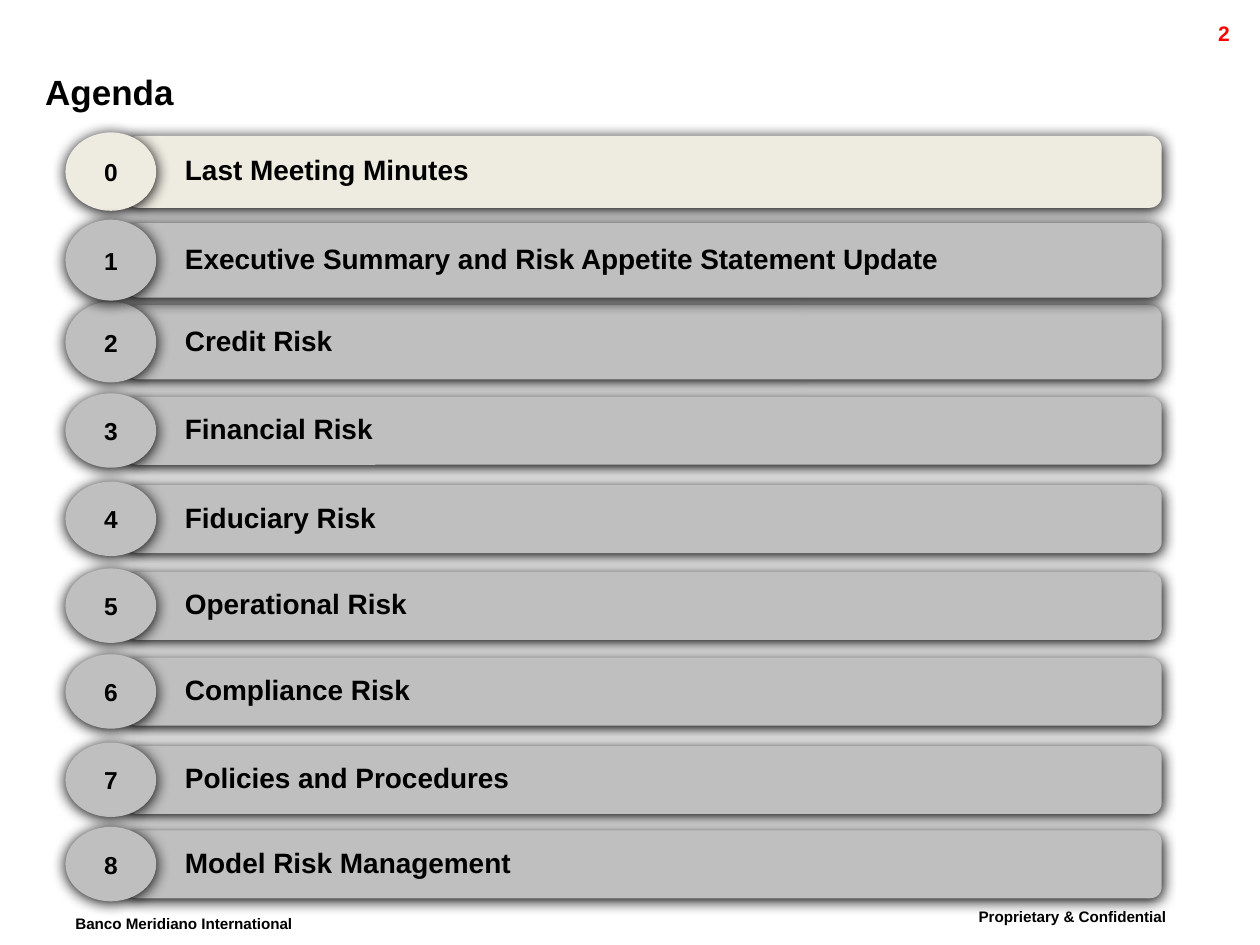
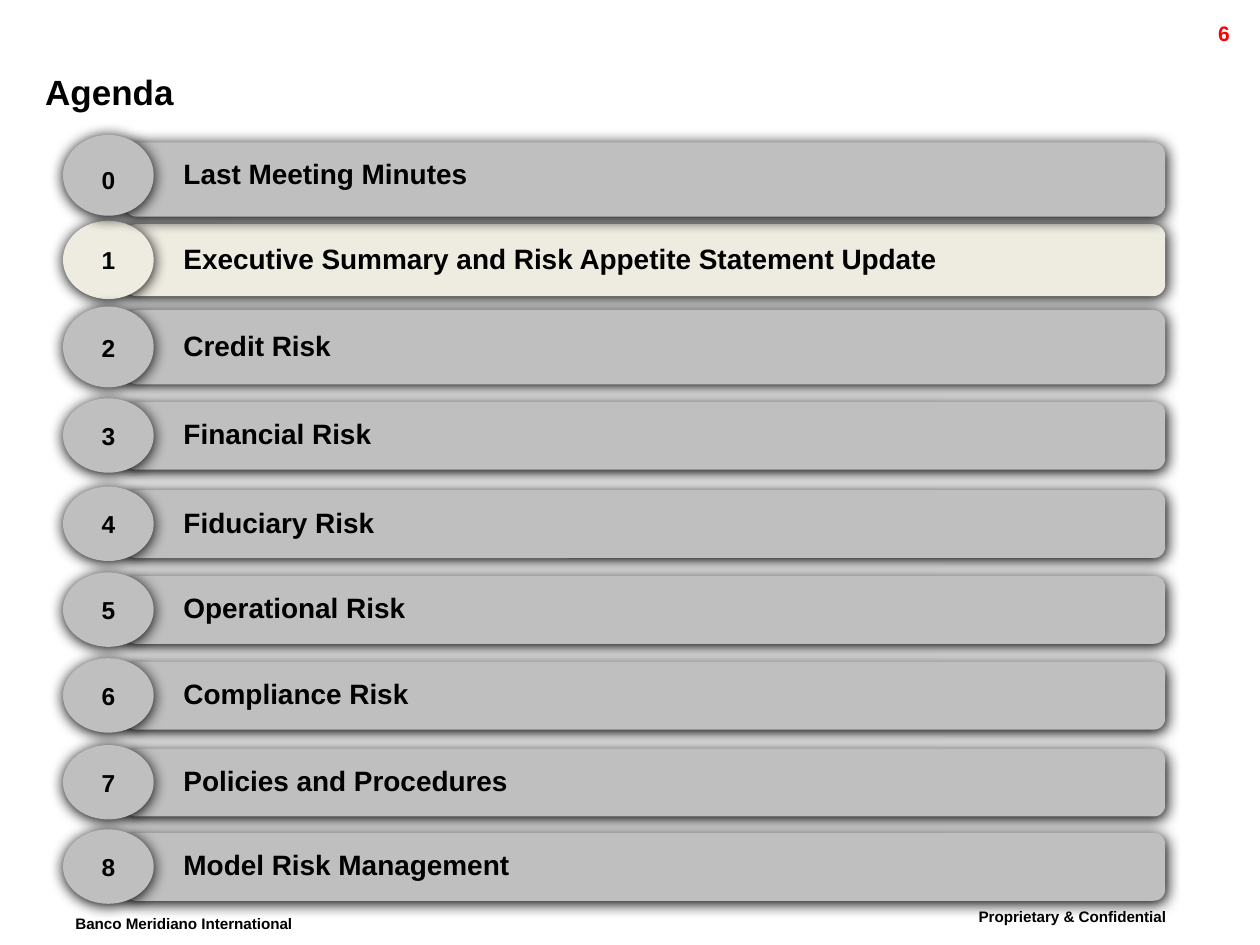
"""Build two agenda slides, each highlighting its current topic."""
from dataclasses import dataclass

from lxml import etree
from pptx import Presentation
from pptx.dml.color import RGBColor
from pptx.enum.shapes import MSO_SHAPE
from pptx.enum.text import MSO_ANCHOR, MSO_AUTO_SIZE, PP_ALIGN
from pptx.oxml.ns import qn
from pptx.util import Cm, Pt

LEFT, CENTER, RIGHT = PP_ALIGN.LEFT, PP_ALIGN.CENTER, PP_ALIGN.RIGHT
TOP, MIDDLE = MSO_ANCHOR.TOP, MSO_ANCHOR.MIDDLE
FIXED, GROW = MSO_AUTO_SIZE.NONE, MSO_AUTO_SIZE.SHAPE_TO_FIT_TEXT
ROUNDED, OVAL = MSO_SHAPE.ROUNDED_RECTANGLE, MSO_SHAPE.OVAL
TITLE_ONLY_LAYOUT = 5

FONT = "Arial"
BLACK, RED, GRAY, CREAM = "000000", "FF0000", "BFBFBF", "EEECE1"

TOPICS = (
    "Last Meeting Minutes",
    "Executive Summary and Risk Appetite Statement Update",
    "Credit Risk",
    "Financial Risk",
    "Fiduciary Risk",
    "Operational Risk",
    "Compliance Risk",
    "Policies and Procedures",
    "Model Risk Management",
)
TALL_ROWS = 3
TALL_HEIGHT, CURRENT_HEIGHT, ROW_HEIGHT = 1.5, 1.45, 1.37
CIRCLE_WIDTH, NUMBER_HEIGHT = 1.83, 0.81


@dataclass(frozen=True)
class Box:
    """Position and size in centimetres."""
    left: float
    top: float
    width: float
    height: float

    def lengths(self) -> tuple:
        """Return the four lengths in slide units."""
        return Cm(self.left), Cm(self.top), Cm(self.width), Cm(self.height)


@dataclass(frozen=True)
class Agenda:
    """One agenda slide: page, highlighted topic and row geometry."""
    page: str
    current: int
    first_drawn: int
    circle_left: float
    bar_left: float
    bar_width: float
    tops: tuple
    first_lift: float = 0


AGENDAS = (
    Agenda("2", 0, 2, 1.32, 2.54, 20.88,
           (2.74, 4.5, 6.15, 8, 9.78, 11.53, 13.26, 15.04, 16.74)),
    Agenda("6", 1, 1, 1.27, 2.51, 20.98,
           (2.87, 4.52, 6.25, 8.1, 9.88, 11.61, 13.34, 15.09, 16.79), first_lift=0.08),
)


def color(value: str) -> RGBColor:
    """Turn a hex string into a colour."""
    return RGBColor.from_string(value)


def write(shape, text: str, *, size: float, fill: str = BLACK, align=LEFT, anchor=TOP,
          fit=FIXED, wrap: bool = True, baseline: int = 0) -> None:
    """Fill a shape with one bold formatted line."""
    frame = shape.text_frame
    frame.word_wrap = wrap
    frame.auto_size = fit
    frame.vertical_anchor = anchor
    paragraph = frame.paragraphs[0]
    paragraph.alignment = align
    run = paragraph.add_run()
    run.text = text
    run.font.name = FONT
    run.font.size = Pt(size)
    run.font.bold = True
    run.font.color.rgb = color(fill)
    if baseline:
        run._r.get_or_add_rPr().set("baseline", str(baseline * 1000))


def add_text(shapes, box: Box, text: str, **text_format) -> None:
    """Add a text box with one formatted line."""
    write(shapes.add_textbox(*box.lengths()), text, **text_format)


def add_shadowed(shapes, kind, box: Box, fill: str) -> None:
    """Add a borderless filled shape with a soft shadow below it."""
    shape = shapes.add_shape(kind, *box.lengths())
    shape.fill.solid()
    shape.fill.fore_color.rgb = color(fill)
    shape.line.fill.background()
    shape.shadow.inherit = False
    effects = shape._element.spPr.find(qn("a:effectLst"))
    shadow = etree.SubElement(effects, qn("a:outerShdw"), blurRad=str(Pt(8.5)),
                              dist=str(Pt(1)), dir="5400000", algn="t", rotWithShape="0")
    etree.SubElement(shadow, qn("a:srgbClr"), val=BLACK)


def add_frame(slide, page: str) -> None:
    """Add the title, page number and footers shared by all slides."""
    title = slide.shapes.title
    title.left, title.top, title.width, title.height = Box(0.91, 1.24, 22.91, 1.22).lengths()
    frame = title.text_frame
    frame.margin_left = frame.margin_top = frame.margin_right = frame.margin_bottom = 0
    write(title, "Agenda", size=20, anchor=MIDDLE)
    add_text(slide.shapes, Box(19.48, 18.11, 5.54, 0.89), "Proprietary & Confidential",
             size=15, fit=GROW, baseline=30)
    add_text(slide.shapes, Box(1.27, 18.24, 5.66, 0.89), "Banco Meridiano International",
             size=15, fit=GROW, wrap=False, baseline=30)
    add_text(slide.shapes, Box(22.63, 0.28, 2.41, 0.61), page, size=12, fill=RED, align=RIGHT)


def add_row(slide, agenda: Agenda, number: int) -> None:
    """Add one grouped agenda row: bar, topic, circle and number."""
    shapes = slide.shapes.add_group_shape().shapes
    is_current = number == agenda.current
    is_tall = number < TALL_ROWS
    fill = CREAM if is_current else GRAY
    height = CURRENT_HEIGHT if is_current else TALL_HEIGHT if is_tall else ROW_HEIGHT
    top = agenda.tops[number]
    lifted_top = top - (agenda.first_lift if number == 0 else 0)
    number_width = 1.02 if is_tall else 1.42
    number_left = agenda.circle_left + (CIRCLE_WIDTH - number_width) / 2
    number_top = top + (height - NUMBER_HEIGHT) / 2

    add_shadowed(shapes, ROUNDED, Box(agenda.bar_left, top, agenda.bar_width, height), fill)
    add_text(shapes, Box(agenda.bar_left + 0.94, lifted_top + 0.03,
                         agenda.bar_width - 0.17, height - 0.15),
             TOPICS[number], size=16, anchor=MIDDLE)
    add_shadowed(shapes, OVAL, Box(agenda.circle_left, lifted_top - 0.07,
                                   CIRCLE_WIDTH, height + 0.13), fill)
    add_text(shapes, Box(number_left, number_top, number_width, NUMBER_HEIGHT),
             str(number), size=14, align=CENTER, anchor=MIDDLE, fit=GROW)


def main() -> None:
    """Build and save the presentation."""
    presentation = Presentation()
    presentation.slide_width, presentation.slide_height = Cm(25.4), Cm(19.05)
    for agenda in AGENDAS:
        slide = presentation.slides.add_slide(presentation.slide_layouts[TITLE_ONLY_LAYOUT])
        add_frame(slide, agenda.page)
        for step in range(len(TOPICS)):
            add_row(slide, agenda, (agenda.first_drawn + step) % len(TOPICS))
    presentation.save("out.pptx")


if __name__ == "__main__":
    main()
